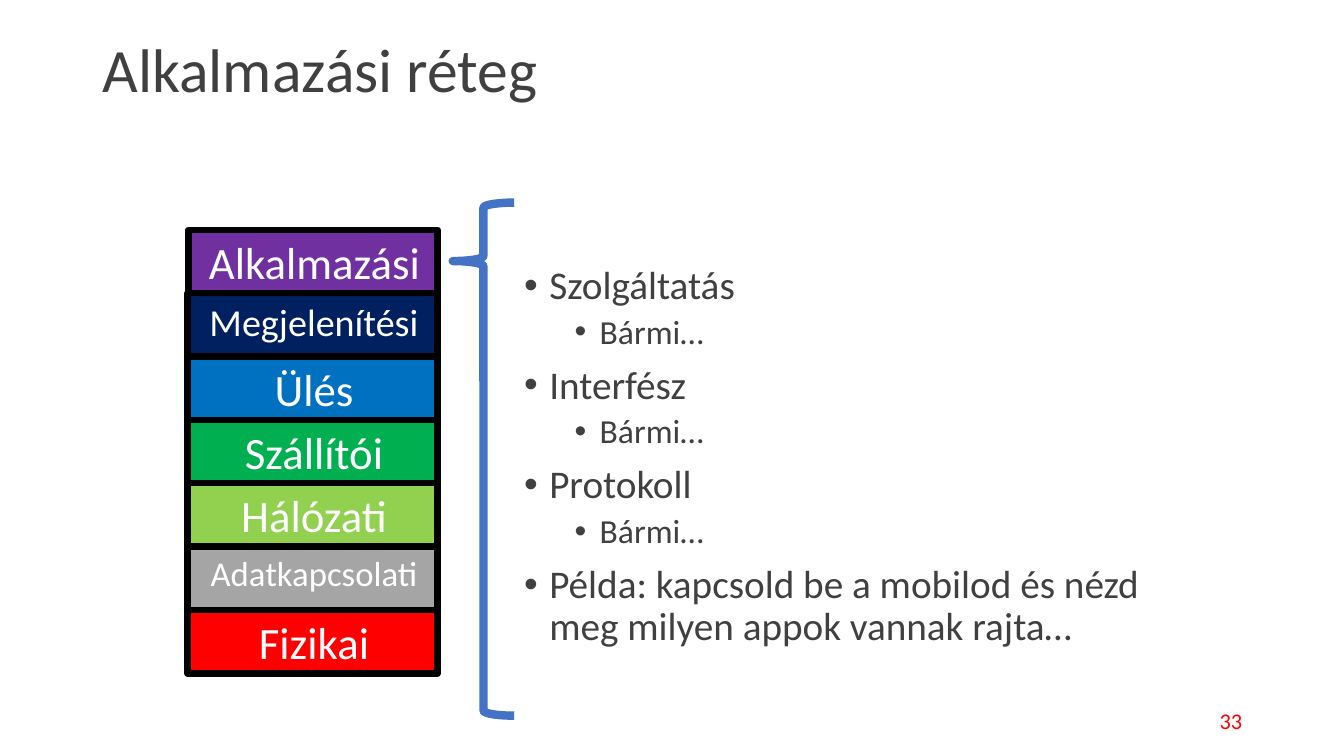
import pptx
import pptx.dml.color
import pptx.enum.shapes
import pptx.enum.text
import pptx.oxml
import pptx.oxml.ns
import pptx.util

Inches = pptx.util.Inches
Pt = pptx.util.Pt
ALIGN = pptx.enum.text.PP_ALIGN
ANCHOR = pptx.enum.text.MSO_ANCHOR
SHAPE = pptx.enum.shapes.MSO_SHAPE


def color(value):
    return pptx.dml.color.RGBColor.from_string(value)


def add_text(left, top, width, height, lines, text_color, anchor=ANCHOR.MIDDLE, align=ALIGN.LEFT):
    box = slide.shapes.add_textbox(Inches(left), Inches(top), Inches(width), Inches(height))
    frame = box.text_frame
    frame.word_wrap = True
    frame.vertical_anchor = anchor
    for index, (text, size) in enumerate(lines):
        paragraph = frame.paragraphs[0] if index == 0 else frame.add_paragraph()
        paragraph.alignment = align
        run = paragraph.add_run()
        run.text = text
        run.font.name = "Calibri"
        run.font.size = Pt(size)
        run.font.color.rgb = color(text_color)
    return frame.paragraphs


presentation = pptx.Presentation()
presentation.slide_width = Inches(13.33)
presentation.slide_height = Inches(7.5)
slide = presentation.slides.add_slide(presentation.slide_layouts[6])

title = add_text(0.92, -0.01, 11.5, 1.45, [("Alkalmazási réteg", 44)], "404040")
title[0].line_spacing = 0.9
add_text(9.42, 6.95, 3, 0.4, [("33", 16)], "FF0000", align=ALIGN.RIGHT)

topics = [
    ("Szolgáltatás", 28),
    ("Bármi…", 24),
    ("Interfész", 28),
    ("Bármi…", 24),
    ("Protokoll", 28),
    ("Bármi…", 24),
    ("Példa: kapcsold be a mobilod és nézd meg milyen appok vannak rajta…", 28),
]
topic_paragraphs = add_text(5.1, 1.75, 6.4, 5.58, topics, "404040")
for index, (paragraph, (text, size)) in enumerate(zip(topic_paragraphs, topics)):
    is_detail = size == 24
    paragraph.level = 1 if is_detail else 0
    paragraph.line_spacing = 0.9
    if index > 0:
        paragraph.space_before = Pt(5 if is_detail else 10)
    properties = paragraph._p.get_or_add_pPr()
    properties.set("marL", str(Inches(0.75 if is_detail else 0.25)))
    properties.set("indent", str(Inches(-0.25)))
    namespace = pptx.oxml.ns.nsdecls("a")
    properties.append(pptx.oxml.parse_xml(f'<a:buFont {namespace} typeface="Arial"/>'))
    properties.append(pptx.oxml.parse_xml(f'<a:buChar {namespace} char="•"/>'))

brace = slide.shapes.add_shape(
    SHAPE.LEFT_BRACE, Inches(4.49), Inches(2.01), Inches(0.61), Inches(5.09))
brace.shadow.inherit = False
brace.adjustments[0] = 0.083
brace.adjustments[1] = 0.114
brace.fill.background()
brace.line.color.rgb = color("4472C4")
brace.line.width = Pt(6)

layers = [
    ("Alkalmazási", "7030A0", 32),
    ("Megjelenítési", "002060", 27.2),
    ("Ülés", "0070C0", 32),
    ("Szállítói", "00B050", 32),
    ("Hálózati", "92D050", 32),
    ("Adatkapcsolati", "A5A5A5", 24.8),
    ("Fizikai", "FF0000", 32),
]
layer_height = 0.63
for index, (name, fill, size) in enumerate(layers):
    left = 1.87 if index == 0 else 1.86
    width = 4.34 - left
    top = 2.28 + index * 0.6285
    layer = slide.shapes.add_shape(
        SHAPE.RECTANGLE, Inches(left), Inches(top), Inches(width), Inches(layer_height))
    layer.shadow.inherit = False
    layer.fill.solid()
    layer.fill.fore_color.rgb = color(fill)
    layer.line.color.rgb = color("000000")
    layer.line.width = Pt(4.5)
    label = add_text(left - 0.03, top, width - 0.03, layer_height, [(name, size)], "FFFFFF",
                     ANCHOR.TOP, ALIGN.CENTER)
    label[0]._p.get_or_add_pPr().set("marL", str(Inches(0.12)))

presentation.save("out.pptx")
